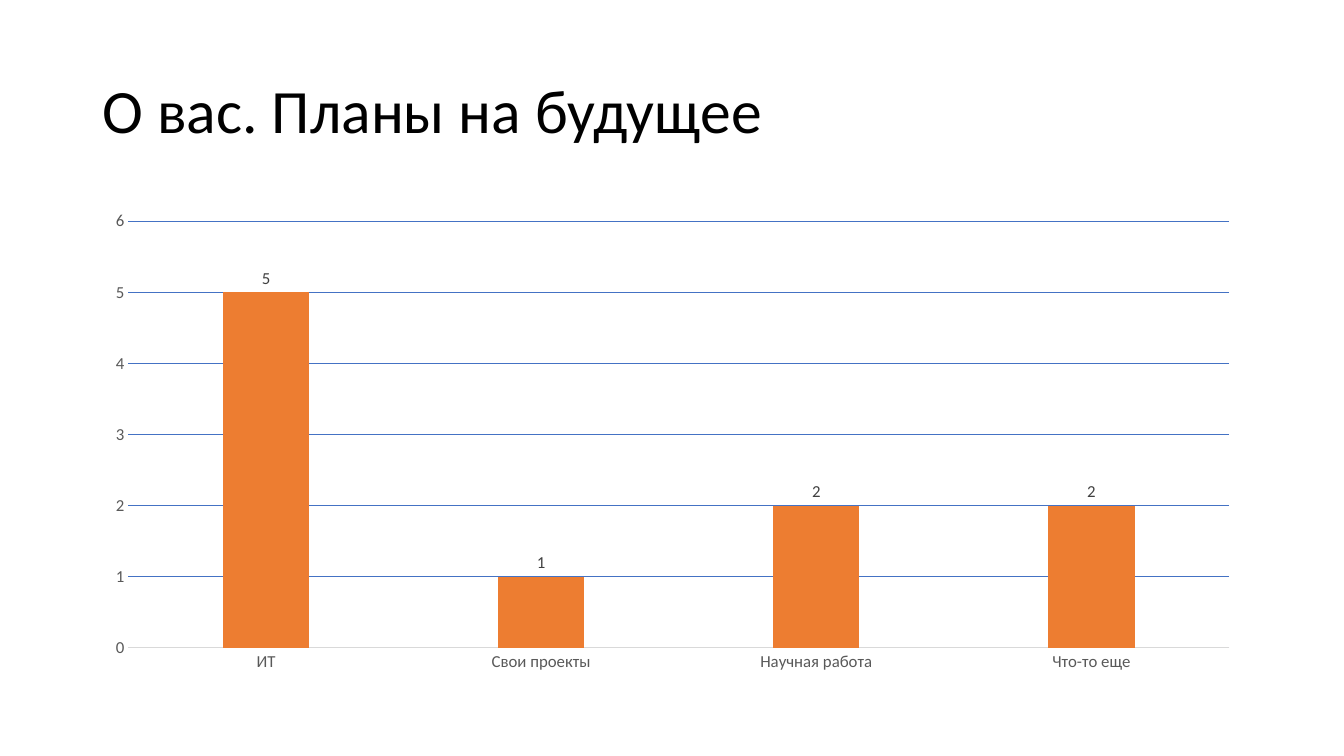
from pptx import Presentation
from pptx.chart.data import CategoryChartData
from pptx.dml.color import RGBColor
from pptx.enum.chart import XL_CHART_TYPE, XL_LABEL_POSITION, XL_TICK_MARK
from pptx.enum.text import MSO_ANCHOR
from pptx.util import Inches, Pt

COLUMN = XL_CHART_TYPE.COLUMN_CLUSTERED
OUTER = XL_LABEL_POSITION.OUTSIDE_END
NO_TICK = XL_TICK_MARK.NONE
MIDDLE = MSO_ANCHOR.MIDDLE

WIDE, HIGH = 13.33, 7.5
LEFT, SPAN = 0.92 / WIDE, 11.5 / WIDE


def tint(code):
    return RGBColor.from_string(code)


class Page:
    face = "Calibri"
    ink, gray, dark = "000000", "595959", "404040"
    bar, grid, base = "ED7D31", "4472C4", "D9D9D9"

    def __init__(self, deck):
        self.deck = deck
        self.slide = deck.slides.add_slide(deck.slide_layouts[6])

    def area(self, x, y, w, h):
        """Turn shares of the slide into lengths."""
        wide, high = self.deck.slide_width, self.deck.slide_height
        return int(x * wide), int(y * high), int(w * wide), int(h * high)

    def style(self, font, size, color):
        font.name, font.size = self.face, Pt(size)
        font.color.rgb = tint(color)

    def stroke(self, line, color):
        line.color.rgb, line.width = tint(color), Pt(0.75)

    def title(self, text, *box):
        frame = self.slide.shapes.add_textbox(*self.area(*box)).text_frame
        frame.word_wrap, frame.vertical_anchor = True, MIDDLE
        para = frame.paragraphs[0]
        para.line_spacing = 0.9
        run = para.add_run()
        run.text = text
        self.style(run.font, 44, self.ink)

    def chart(self, name, votes, *box):
        data = CategoryChartData()
        data.categories = list(votes)
        data.add_series(name, list(votes.values()))
        chart = self.slide.shapes.add_chart(COLUMN, *self.area(*box), data).chart
        chart.has_legend = chart.has_title = False
        self.style(chart.font, 10, self.ink)

        # Axes and grid lines
        for axis in (chart.category_axis, chart.value_axis):
            axis.major_tick_mark = axis.minor_tick_mark = NO_TICK
            self.style(axis.tick_labels.font, 12, self.gray)
        self.stroke(chart.category_axis.format.line, self.base)
        scale = chart.value_axis
        scale.minimum_scale, scale.maximum_scale, scale.major_unit = 0, 6, 1
        scale.format.line.fill.background()
        self.stroke(scale.major_gridlines.format.line, self.grid)

        # Bars and their values
        plot = chart.plots[0]
        plot.gap_width, plot.overlap = 219, -27
        plot.vary_by_categories = False
        bars = plot.series[0]
        bars.format.fill.solid()
        bars.format.fill.fore_color.rgb = tint(self.bar)
        marks = bars.data_labels
        marks.show_value, marks.position = True, OUTER
        self.style(marks.font, 12, self.dark)


def main():
    deck = Presentation()
    deck.slide_width, deck.slide_height = Inches(WIDE), Inches(HIGH)
    page = Page(deck)

    # Heading
    page.title("О вас. Планы на будущее", LEFT, 0.4 / HIGH, SPAN, 1.45 / HIGH)

    # Answers
    votes = {"ИТ": 5, "Свои проекты": 1, "Научная работа": 2, "Что-то еще": 2}
    page.chart("Series 1", votes, LEFT, 2 / HIGH, SPAN, 4.76 / HIGH)

    deck.save("out.pptx")


if __name__ == "__main__":
    main()
